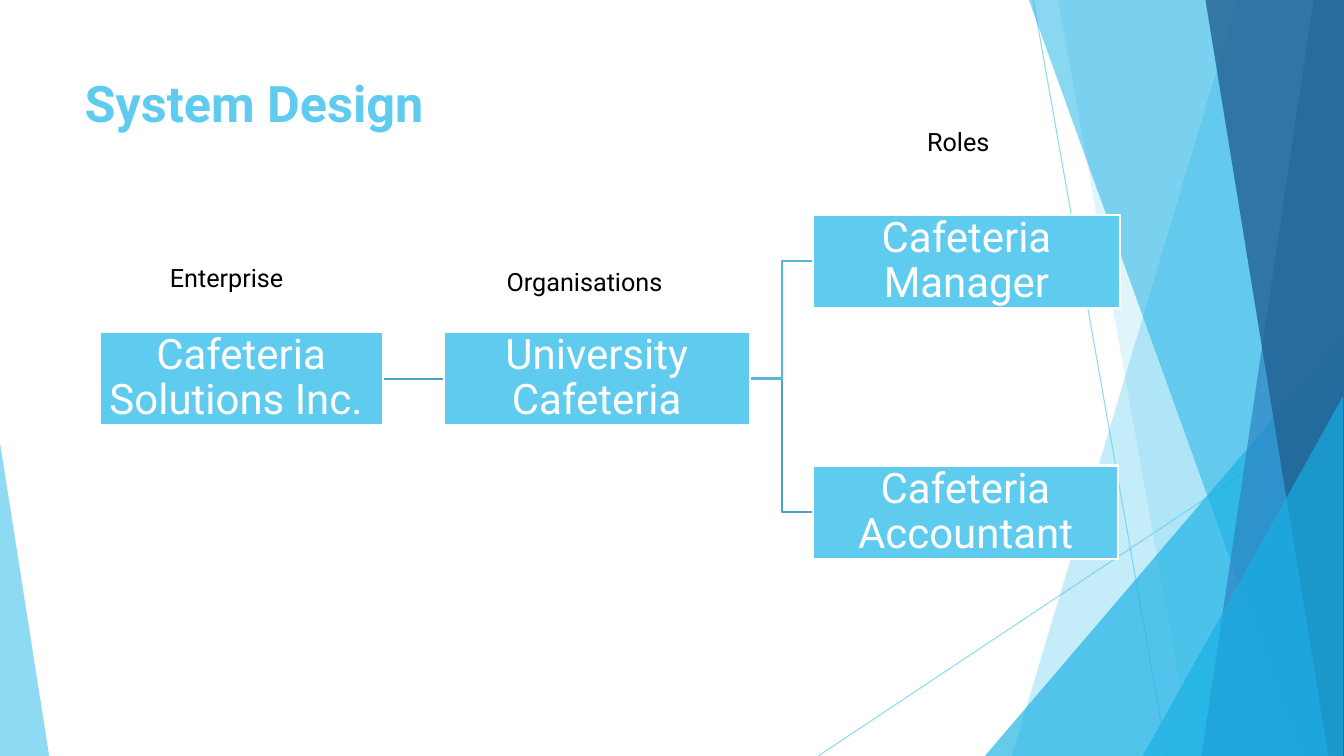
from pptx import Presentation
from pptx import util as u
from pptx.dml import color
from pptx.enum import shapes, text
from pptx.oxml import ns, xmlchemy

WIDE, HIGH = 33.87, 19.05
SKY, DEEP, WHITE = "5FCBEF", "17B0E4", "FFFFFF"


def rgb(code):
    return color.RGBColor.from_string(code)


def fade(shape, pct):
    """Give the colour of a fill or line an opacity."""
    for node in shape._element.spPr.iter(ns.qn("a:srgbClr")):
        alpha = xmlchemy.OxmlElement("a:alpha")
        alpha.set("val", str(pct * 1000))
        node.append(alpha)


def paint(shape, code, pct):
    shape.shadow.inherit = False
    shape.fill.solid()
    shape.fill.fore_color.rgb = rgb(code)
    shape.line.fill.background()
    fade(shape, pct)


def style(para, size, code, align, bold=False):
    font = para.font
    font.name, font.size, font.bold = "Roboto", u.Pt(size), bold
    font.color.rgb = rgb(code)
    para.alignment = align


def link(slide, kind, ends, code, width):
    x1, y1, x2, y2 = (u.Cm(v) for v in ends)
    line = slide.shapes.add_connector(kind, x1, y1, x2, y2)
    line.line.color.rgb = rgb(code)
    line.line.width = u.Pt(width)
    line._element.spPr.append(xmlchemy.OxmlElement("a:effectLst"))
    return line


def facet(slide, top, base, code, pct):
    """Panel from a slanted left edge to the right side of the slide."""
    pen = slide.shapes.build_freeform(u.Cm(top), 0, scale=1.0)
    pen.add_line_segments([(u.Cm(x), u.Cm(y)) for x, y in
                           ((WIDE, 0), (WIDE, HIGH), (base, HIGH))])
    paint(pen.convert_to_shape(), code, pct)


def wedge(slide, left, top, width, peak, code, pct):
    """Right triangle standing on the bottom of the slide."""
    shape = slide.shapes.add_shape(
        shapes.MSO_SHAPE.ISOSCELES_TRIANGLE,
        u.Cm(left), u.Cm(top), u.Cm(width), u.Cm(HIGH - top))
    shape.adjustments[0] = peak
    paint(shape, code, pct)


def backdrop(slide):
    for ends in ((26.04, 0, 29.41, HIGH), (WIDE, 10.24, 20.62, HIGH)):
        fade(link(slide, shapes.MSO_CONNECTOR.STRAIGHT, ends, SKY, 0.75), 70)
    facet(slide, 31.19, 25.5, SKY, 36)
    facet(slide, 26.67, 30.05, SKY, 20)
    wedge(slide, 24.82, 8.46, 9.05, 1, DEEP, 66)
    facet(slide, 25.93, 32.79, DEEP, 50)
    facet(slide, 33.1, 30.28, "2E83C3", 70)
    facet(slide, 30.38, 33.48, "226292", 80)
    wedge(slide, 28.8, 9.98, 5.05, 1, DEEP, 66)
    wedge(slide, 0, 11.15, 1.24, 0, SKY, 70)


def heading(slide, left, top, width, height):
    title = slide.shapes.title
    title.left, title.top = u.Cm(left), u.Cm(top)
    title.width, title.height = u.Cm(width), u.Cm(height)
    frame = title.text_frame
    frame.text = "System Design"
    frame.vertical_anchor = text.MSO_ANCHOR.TOP
    style(frame.paragraphs[0], 36, SKY, text.PP_ALIGN.LEFT, True)


def label(slide, words, left, top):
    frame = slide.shapes.add_textbox(
        u.Cm(left), u.Cm(top), u.Cm(7.98), u.Cm(1.02)).text_frame
    frame.word_wrap = True
    frame.text = words
    style(frame.paragraphs[0], 18, "000000", text.PP_ALIGN.CENTER)


def node(slide, words, left, top, width):
    box = slide.shapes.add_shape(
        shapes.MSO_SHAPE.RECTANGLE,
        u.Cm(left), u.Cm(top), u.Cm(width), u.Cm(2.36))
    box.shadow.inherit = False
    box.fill.solid()
    box.fill.fore_color.rgb = rgb(SKY)
    box.line.color.rgb = rgb(WHITE)
    box.line.width = u.Pt(1.5)
    frame = box.text_frame
    frame.word_wrap = True
    frame.vertical_anchor = text.MSO_ANCHOR.MIDDLE
    frame.margin_left = frame.margin_right = u.Cm(0.05)
    frame.margin_top = frame.margin_bottom = u.Cm(0.05)
    frame.text = words
    para = frame.paragraphs[0]
    style(para, 30, WHITE, text.PP_ALIGN.CENTER)
    para.line_spacing = 0.9
    return box


def chart(slide, left, top):
    """Tree from the enterprise to the roles, left to right."""
    firm = node(slide, "Cafeteria Solutions Inc. ", left, top, 7.14)
    unit = node(slide, "University Cafeteria", left + 8.67, top, 7.72)
    boss = node(slide, "Cafeteria Manager", left + 17.99, top - 2.95, 7.72)
    clerk = node(slide, "Cafeteria Accountant", left + 17.99, top + 3.37, 7.67)

    # Branches, tucked behind the boxes
    kinds = shapes.MSO_CONNECTOR
    for kind, start, end, code in (
            (kinds.STRAIGHT, firm, unit, "4CA3BF"),
            (kinds.ELBOW, unit, clerk, "4CA3BF"),
            (kinds.ELBOW, unit, boss, "56B8D9")):
        line = link(slide, kind, (0, 0, 0, 0), code, 1.5)
        line.begin_connect(start, 3)
        line.end_connect(end, 1)
    for box in (firm, unit, boss, clerk):
        slide.shapes._spTree.append(box._element)

    # Column labels
    label(slide, "Organisations ", left + 8.31, top - 1.78)
    label(slide, "Enterprise ", left - 0.71, top - 1.88)
    label(slide, "Roles ", left + 17.73, top - 5.29)


def main():
    deck = Presentation()
    deck.slide_width, deck.slide_height = u.Cm(WIDE), u.Cm(HIGH)
    slide = deck.slides.add_slide(deck.slide_layouts[5])
    backdrop(slide)
    chart(slide, 2.51, 8.36)
    heading(slide, 1.88, 1.7, 23.88, 3.66)
    deck.save("out.pptx")


if __name__ == "__main__":
    main()
